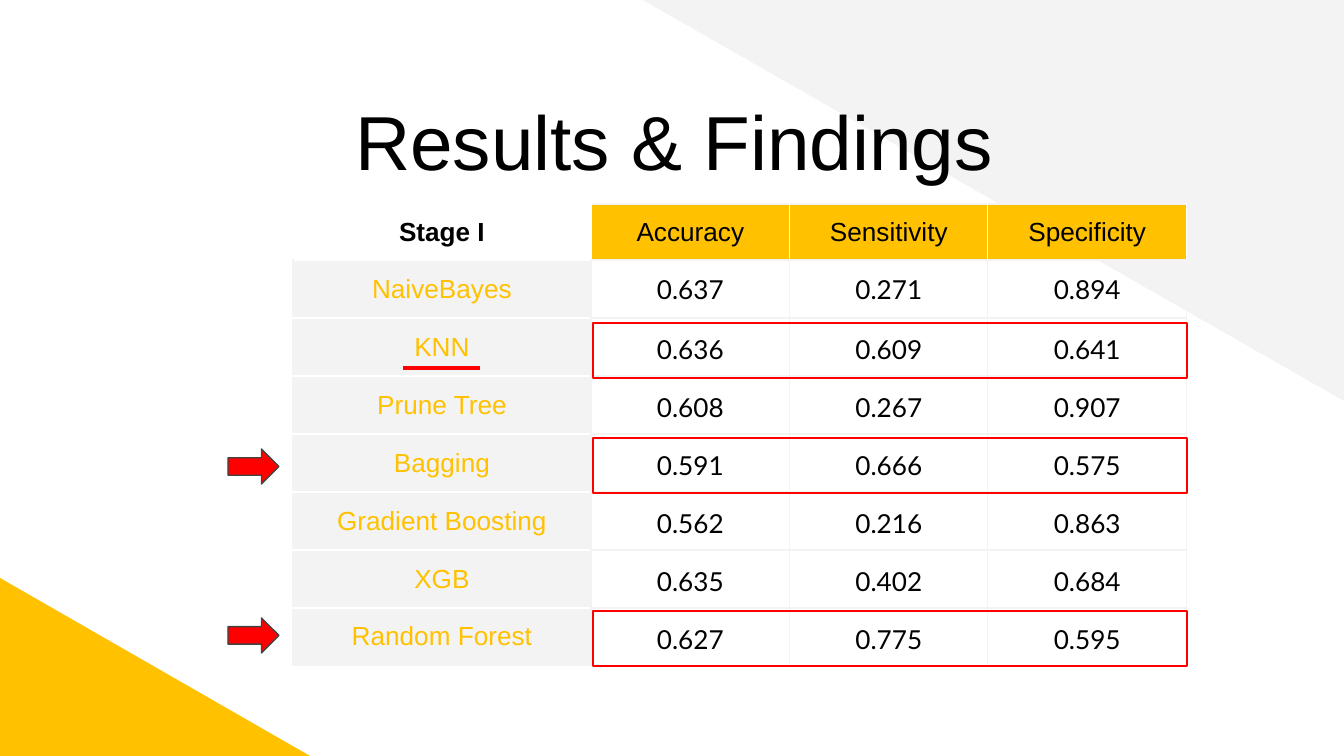
from lxml.etree import SubElement
from pptx import Presentation
from pptx.dml.color import RGBColor
from pptx.enum.shapes import MSO_CONNECTOR, MSO_SHAPE
from pptx.enum.text import MSO_ANCHOR, MSO_AUTO_SIZE, PP_ALIGN
from pptx.oxml import parse_xml
from pptx.oxml.ns import nsdecls, qn
from pptx.util import Emu, Pt

TITLE = "Results & Findings"
HEADER = ["Stage I", "Accuracy", "Sensitivity", "Specificity"]
MODELS = [
    ("NaiveBayes", "0.637", "0.271", "0.894"),
    ("KNN", "0.636", "0.609", "0.641"),
    ("Prune Tree", "0.608", "0.267", "0.907"),
    ("Bagging", "0.591", "0.666", "0.575"),
    ("Gradient Boosting", "0.562", "0.216", "0.863"),
    ("XGB", "0.635", "0.402", "0.684"),
    ("Random Forest", "0.627", "0.775", "0.595"),
]
BLACK, WHITE, GREY, AMBER, RED, SLATE = (
    "000000", "FFFFFF", "F3F3F3", "FFC100", "FF0000", "434343")

COLUMN_WIDTHS = [298, 199, 198, 199]
HEADER_HEIGHT, ROW_HEIGHT = 56, 58
TABLE_LEFT, TABLE_TOP = 293, 204
ARROW_TOPS = [449, 618]
HIGHLIGHT_TOPS = [323, 438, 611]


def px(length):
    """Turn picture pixels into EMU."""
    return Emu(round(length * 914400 / 134.4))


def color(hex_value):
    """Turn a hex string into a colour."""
    return RGBColor.from_string(hex_value)


def add_block(kind, box, fill=None, line=None):
    """Add a preset shape with optional fill and outline."""
    block = slide.shapes.add_shape(kind, *map(px, box))
    block.shadow.inherit = False
    if fill:
        block.fill.solid()
        block.fill.fore_color.rgb = color(fill)
    else:
        block.fill.background()
    if line:
        block.line.color.rgb = color(line)
        block.line.width = Pt(0.75)
    else:
        block.line.fill.background()
    return block


def style_text(frame, size, font, hex_value, bold=False):
    """Centre the only paragraph and format its run."""
    paragraph = frame.paragraphs[0]
    paragraph.alignment = PP_ALIGN.CENTER
    run_font = paragraph.runs[0].font
    run_font.size, run_font.name, run_font.bold = Pt(size), font, bold
    run_font.color.rgb = color(hex_value)
    return paragraph


def set_borders(cell, borders):
    """Draw cell borders; borders maps a side letter (LRTB) to a colour."""
    properties = cell._tc.get_or_add_tcPr()
    for position, (side, hex_value) in enumerate(borders.items()):
        properties.insert(position, parse_xml(
            f'<a:ln{side} {nsdecls("a")} w="9525"><a:solidFill>'
            f'<a:srgbClr val="{hex_value}"/></a:solidFill></a:ln{side}>'))


def style_cell(cell, row, column):
    """Format a cell by its place in the table."""
    cell.vertical_anchor = MSO_ANCHOR.MIDDLE
    is_value = row > 0 and column > 0
    tight = is_value and row > 1
    cell.margin_left = cell.margin_right = px(4 if tight else 13)
    cell.margin_top = cell.margin_bottom = px(3 if tight else 13)
    fill, ink, borders = None, BLACK, {}
    if is_value:
        borders = dict.fromkeys("LRTB", GREY)
    elif column > 0:
        fill = AMBER
        borders = {"L": WHITE, "R": WHITE, "T": GREY, "B": GREY}
    elif row > 0:
        fill, ink = GREY, AMBER
        borders = {"L": GREY, "R": GREY, "T": WHITE,
                   "B": GREY if row == len(MODELS) else WHITE}
    paragraph = style_text(cell.text_frame, 14, "Lato" if is_value else "Arial",
                           ink, bold=row == column == 0)
    if tight:
        paragraph.line_spacing = 1.15
    if fill:
        cell.fill.solid()
        cell.fill.fore_color.rgb = color(fill)
    else:
        cell.fill.background()
    set_borders(cell, borders)


def add_results_table():
    """Add the table of scores by model."""
    rows = [HEADER, *MODELS]
    heights = [HEADER_HEIGHT] + [ROW_HEIGHT] * len(MODELS)
    table = slide.shapes.add_table(
        len(rows), len(HEADER), px(TABLE_LEFT), px(TABLE_TOP),
        px(sum(COLUMN_WIDTHS)), px(sum(heights))).table
    table.horz_banding = False
    table._tbl.tblPr.find(qn("a:tableStyleId")).text = (
        "{2D5ABB26-0587-4C30-8999-92F81FD0307C}")
    for table_column, width in zip(table.columns, COLUMN_WIDTHS):
        table_column.width = px(width)
    for row, (labels, height) in enumerate(zip(rows, heights)):
        table.rows[row].height = px(height)
        for column, label in enumerate(labels):
            cell = table.cell(row, column)
            cell.text_frame.text = label
            style_cell(cell, row, column)


def add_title():
    """Place and format the title in front of the corner triangles."""
    title = slide.shapes.title
    slide.shapes.element.append(title.element)
    title.left, title.top, title.width, title.height = map(px, (79, 73, 1191, 85))
    frame = title.text_frame
    frame.text = TITLE
    frame.word_wrap = True
    frame.auto_size = MSO_AUTO_SIZE.NONE
    frame.vertical_anchor = MSO_ANCHOR.TOP
    frame.margin_left = frame.margin_right = px(13)
    frame.margin_top, frame.margin_bottom = px(21), px(0)
    style_text(frame, 41, "Arial", BLACK)


def add_underline():
    """Underline the KNN label."""
    underline = slide.shapes.add_connector(
        MSO_CONNECTOR.STRAIGHT, px(403), px(368), px(480), px(368))
    underline.line.color.rgb = color(RED)
    underline.line.width = Pt(2.25)
    SubElement(underline.element.spPr, qn("a:effectLst"))


deck = Presentation()
deck.slide_width, deck.slide_height = px(1344), px(756)
slide = deck.slides.add_slide(deck.slide_layouts[5])
slide.background.fill.solid()
slide.background.fill.fore_color.rgb = color(WHITE)

top_corner = add_block(MSO_SHAPE.RIGHT_TRIANGLE, (641, -1, 703, 402), GREY)
top_corner.rotation = 180
add_block(MSO_SHAPE.RIGHT_TRIANGLE, (0, 578, 310, 178), AMBER)
add_title()
add_results_table()
for arrow_top in ARROW_TOPS:
    add_block(MSO_SHAPE.RIGHT_ARROW, (228, arrow_top, 51, 35), RED, SLATE)
add_underline()
for highlight_top in HIGHLIGHT_TOPS:
    add_block(MSO_SHAPE.RECTANGLE, (593, highlight_top, 594, 55), line=RED)

deck.save("out.pptx")
